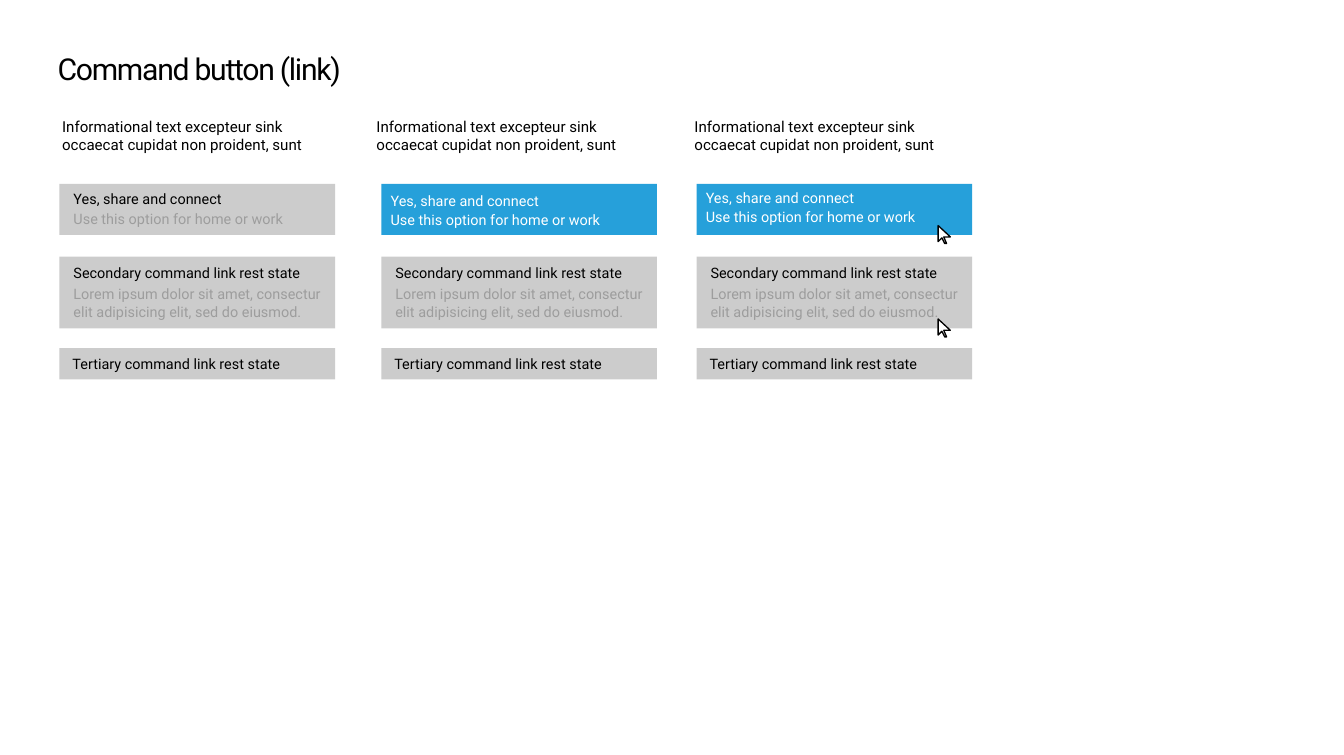
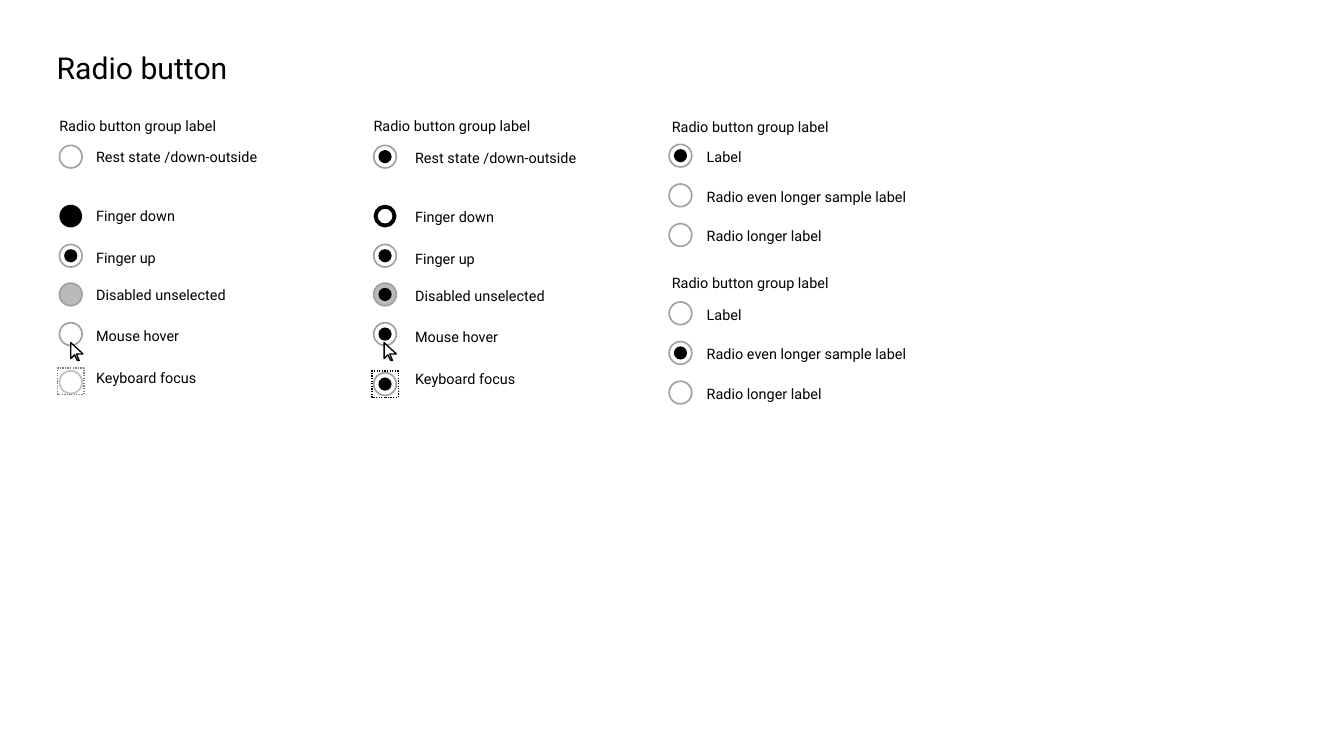
from pptx import Presentation
from pptx.dml.color import RGBColor
from pptx.enum import dml, shapes, text
from pptx.util import Inches, Pt

BLACK = RGBColor(0x00, 0x00, 0x00)
WHITE = RGBColor(0xFF, 0xFF, 0xFF)
BLUE = RGBColor(0x26, 0xA0, 0xDA)
BUTTON = RGBColor(0xCC, 0xCC, 0xCC)
MUTED = RGBColor(0x9D, 0x9D, 0x9D)
RING = RGBColor(0xA0, 0xA0, 0xA0)
DISABLED = RGBColor(0xBA, 0xBA, 0xBA)
FAINT = RGBColor(0xBF, 0xBF, 0xBF)
FOCUS = RGBColor(0x80, 0x80, 0x80)
RECT = shapes.MSO_SHAPE.RECTANGLE
OVAL = shapes.MSO_SHAPE.OVAL
RING_SIZE = 0.24


def add_text(parent, words, x, y, w, h=0.29, size=11, color=BLACK, leading=None, spc=None, box=None):
    """Write words, one paragraph a line, into a new text box or the given placeholder."""
    if box is None:
        box = parent.add_textbox(0, 0, 0, 0)
    box.left, box.top, box.width, box.height = (Inches(v) for v in (x, y, w, h))
    tf = box.text_frame
    tf.word_wrap = True
    tf.auto_size = text.MSO_AUTO_SIZE.SHAPE_TO_FIT_TEXT
    tf.vertical_anchor = text.MSO_ANCHOR.TOP
    for i, line in enumerate(words.split("\n")):
        p = tf.add_paragraph() if i else tf.paragraphs[0]
        p.alignment = text.PP_ALIGN.LEFT
        if leading:
            p.line_spacing = Pt(leading)
        r = p.add_run()
        r.text = line
        r.font.name = "Roboto"
        r.font.size = Pt(size)
        r.font.color.rgb = color
        if spc:
            r._r.get_or_add_rPr().set("spc", str(spc))


def add_shape(parent, kind, x, y, w, h, fill, line=None, weight=1.25):
    sp = parent.add_shape(kind, Inches(x), Inches(y), Inches(w), Inches(h))
    sp.shadow.inherit = False
    sp.fill.solid()
    sp.fill.fore_color.rgb = fill
    if line is None:
        sp.line.fill.background()
    else:
        sp.line.color.rgb = line
        sp.line.width = Pt(weight)
    return sp


prs = Presentation()
prs.slide_width, prs.slide_height = Inches(14.24), Inches(8)
title_only = prs.slide_layouts[5]

# Command buttons
command = prs.slides.add_slide(title_only)
add_text(None, "Command button (link)", 0.51, 0.48, 4.4, 0.5, size=23, spc=-100, box=command.shapes.title)

# caption left, button left, primary fill, its two text colours, its text left and tops
columns = [
    (0.56, 0.63, BUTTON, BLACK, MUTED, 0.68, 1.97, 2.18),
    (3.89, 4.04, BLUE, WHITE, WHITE, 4.04, 1.99, 2.19),
    (7.26, 7.38, BLUE, WHITE, WHITE, 7.38, 1.95, 2.16),
]
for caption_x, x, fill, head_color, note_color, text_x, head_y, note_y in columns:
    add_text(command.shapes, "Informational text excepteur sink occaecat cupidat non proident, sunt",
             caption_x, 1.19, 3.02, 0.49, size=11.5, leading=14)

    primary = command.shapes.add_group_shape().shapes
    add_shape(primary, RECT, x, 1.95, 2.92, 0.54, fill)
    add_text(primary, "Yes, share and connect", text_x, head_y, 2, color=head_color)
    add_text(primary, "Use this option for home or work", text_x, note_y, 2.71, color=note_color)

    secondary = command.shapes.add_group_shape().shapes
    add_shape(secondary, RECT, x, 2.72, 2.92, 0.76, BUTTON)
    add_text(secondary, "Secondary command link rest state", x + 0.05, 2.75, 2.79)
    add_text(secondary, "Lorem ipsum dolor sit amet, consectur\nelit adipisicing elit, sed do eiusmod.",
             x + 0.05, 2.96, 2.91, 0.49, color=MUTED, leading=14)

    tertiary = command.shapes.add_group_shape().shapes
    add_shape(tertiary, RECT, x, 3.69, 2.92, 0.33, BUTTON)
    add_text(tertiary, "Tertiary command link rest state", x + 0.04, 3.71, 2.53)

# Radio buttons
radio = prs.slides.add_slide(title_only)
add_text(None, "Radio button", 0.5, 0.47, 2.43, 0.49, size=23, box=radio.shapes.title)

for x, y, color in ((0.61, 3.9, FOCUS), (3.94, 3.93, BLACK)):
    focus = add_shape(radio.shapes, RECT, x, y, 0.28, 0.28, WHITE, color, 1)
    focus.line.dash_style = dml.MSO_LINE.ROUND_DOT

for x, y in ((0.53, 1.19), (3.86, 1.19), (7.02, 1.2), (7.02, 2.86)):
    add_text(radio.shapes, "Radio button group label", x, y, 2.23)

# label, label top, ring top, fill, ring colour
states = [
    ("Rest state /down-outside", 1.52, 1.54, WHITE, RING),
    ("Finger down", 2.15, 2.17, BLACK, None),
    ("Finger up", 2.59, 2.59, WHITE, RING),
    ("Disabled unselected", 2.98, 3, DISABLED, RING),
    ("Mouse hover", 3.42, 3.42, WHITE, RING),
    ("Keyboard focus", 3.86, 3.93, WHITE, FAINT),
]
# label, label left and top, ring left and top, fill, ring colour, selected
radios = []
for label, text_y, y, fill, line in states:
    radios.append((label, 0.92, text_y, 0.63, y, fill, line, label == "Finger up"))
    if label == "Finger down":
        add_text(radio.shapes, label, 4.3, text_y + 0.01, 2.23)
        add_shape(radio.shapes, OVAL, 3.98, 2.19, 0.2, 0.2, WHITE, BLACK, 3)
    else:
        ring_y = 3.95 if label == "Keyboard focus" else y
        radios.append((label, 4.3, text_y + 0.01, 3.96, ring_y, fill, RING, True))

options = ["Label", "Radio even longer sample label", "Radio longer label"]
for top, chosen in ((1.53, 0), (3.2, 1)):
    for i, label in enumerate(options):
        y = top + 0.42 * i
        radios.append((label, 7.39, y - 0.01, 7.09, y, WHITE, RING, i == chosen))

for label, text_x, text_y, x, y, fill, line, selected in radios:
    add_shape(radio.shapes, OVAL, x, y, RING_SIZE, RING_SIZE, fill, line)
    if selected:
        add_shape(radio.shapes, OVAL, x + 0.05, y + 0.05, 0.14, 0.14, BLACK)
    add_text(radio.shapes, label, text_x, text_y, 2.76)

# Mouse pointers, outlined in hundredths of an inch from the tip
outline = [(13, 12), (6, 12), (9, 19), (7, 19), (4, 13), (0, 17)]
pointers = [(command, 9.94, 2.39), (command, 9.94, 3.38), (radio, 0.75, 3.63), (radio, 4.07, 3.63)]
for s, x, y in pointers:
    builder = s.shapes.build_freeform(0, 0, scale=Inches(0.01))
    builder.add_line_segments(outline, close=True)
    pointer = builder.convert_to_shape(Inches(x), Inches(y))
    pointer.shadow.inherit = False
    pointer.fill.solid()
    pointer.fill.fore_color.rgb = WHITE
    pointer.line.color.rgb = BLACK
    pointer.line.width = Pt(1)

prs.save("out.pptx")
